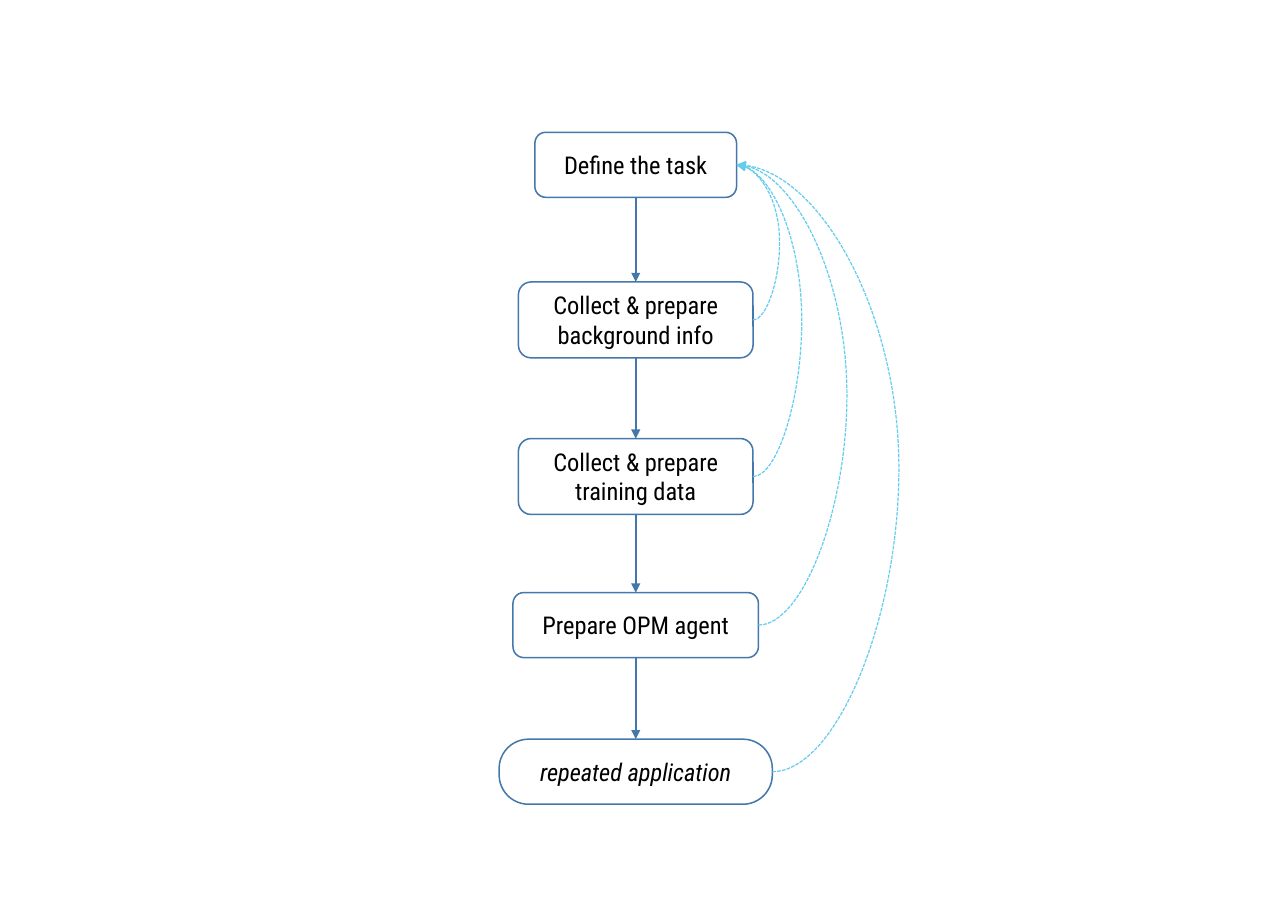
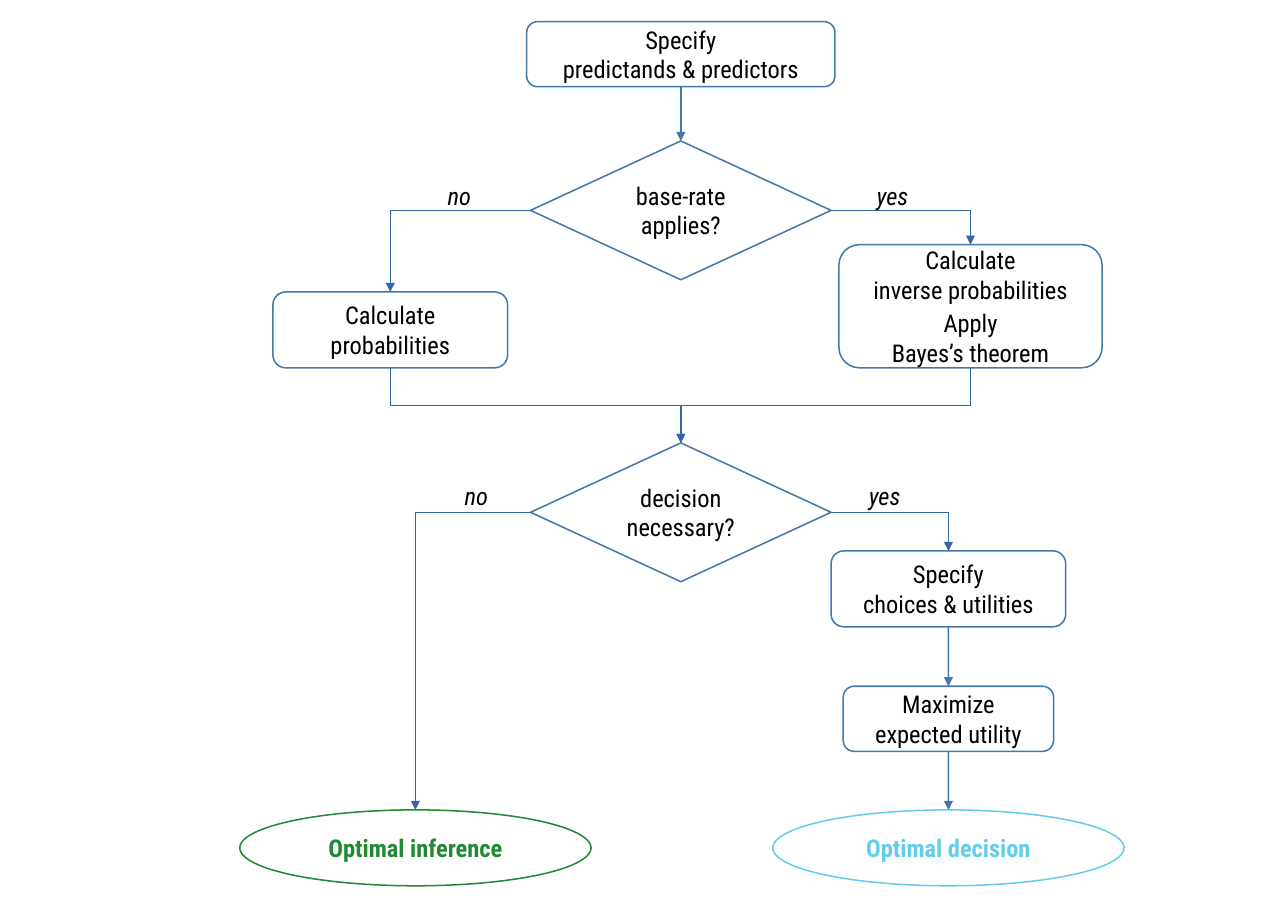
import pptx
import pptx.util
import pptx.dml.color
import pptx.enum.dml
import pptx.enum.shapes
import pptx.enum.text
import pptx.oxml
import pptx.oxml.ns
import lxml.etree

Cm = pptx.util.Cm
Pt = pptx.util.Pt
SHAPE = pptx.enum.shapes.MSO_SHAPE
LINK = pptx.enum.shapes.MSO_CONNECTOR
ALIGN = pptx.enum.text.PP_ALIGN
qn = pptx.oxml.ns.qn
rgb = pptx.dml.color.RGBColor.from_string

COLORS = {
    "text": "000000",
    "outline": "4477AA",
    "branch": "3465A4",
    "feedback": "66CCEE",
    "inference": "228833",
}
FONT = "Roboto Condensed"
TOP, LEFT, BOTTOM, RIGHT = range(4)
SITE_X = (0.5, 0, 0.5, 1)
SITE_Y = (0, 0.5, 1, 0.5)
LOW, TALL = 1.5, 1.75


def add_text(page, text, center, top, width, height, shape=None, corner=None,
             outline="outline", color="text", bold=False, italic=False, spacing=None):
    place = (Cm(center - width / 2), Cm(top), Cm(width), Cm(height))
    if shape is None:
        box = page.shapes.add_textbox(*place)
        box.text_frame.auto_size = pptx.enum.text.MSO_AUTO_SIZE.SHAPE_TO_FIT_TEXT
    else:
        box = page.shapes.add_shape(shape, *place)
        box.shadow.inherit = False
        box.fill.background()
        box.line.color.rgb = rgb(COLORS[outline])
        box.line.width = Pt(1)
    if corner is not None:
        box.adjustments[0] = corner
    frame = box.text_frame
    frame.word_wrap = shape is not None
    if shape is not None:
        frame.vertical_anchor = pptx.enum.text.MSO_ANCHOR.MIDDLE
        frame.margin_left = frame.margin_right = Cm(0.28)
        frame.margin_top = frame.margin_bottom = Cm(0.15)
    for index, words in enumerate(text.split("\n")):
        para = frame.paragraphs[0] if index == 0 else frame.add_paragraph()
        para.alignment = ALIGN.LEFT if shape is None else ALIGN.CENTER
        para.line_spacing = (spacing or {}).get(index)
        span = para.add_run()
        span.text = words
        span.font.name = FONT
        span.font.size = Pt(16)
        span.font.bold = bold
        span.font.italic = italic
        span.font.color.rgb = rgb(COLORS[color])
    return box


def connect(page, start, start_site, end, end_site, kind=LINK.STRAIGHT,
            color="outline", width=1, preset=None, bulge=None, dash=None):
    begin_x, begin_y, end_x, end_y = [
        int(value)
        for box, site in ((start, start_site), (end, end_site))
        for value in (box.left + box.width * SITE_X[site], box.top + box.height * SITE_Y[site])
    ]
    arrow = page.shapes.add_connector(kind, begin_x, begin_y, end_x, end_y)
    arrow.begin_connect(start, start_site)
    arrow.end_connect(end, end_site)
    arrow.line.color.rgb = rgb(COLORS[color])
    arrow.line.width = Pt(width)
    if dash:
        arrow.line.dash_style = dash
    properties = arrow._element.spPr
    lxml.etree.SubElement(properties.find(qn("a:ln")), qn("a:tailEnd")).set("type", "triangle")
    lxml.etree.SubElement(properties, qn("a:effectLst"))
    geometry = properties.find(qn("a:prstGeom"))
    if preset:
        geometry.set("prst", preset)
    if bulge:
        ratio = (Cm(bulge) - begin_x) / (end_x - begin_x)
        guide = lxml.etree.SubElement(geometry.find(qn("a:avLst")), qn("a:gd"))
        guide.set("name", "adj1")
        guide.set("fmla", f"val {round(ratio * 100000)}")
    if kind == LINK.ELBOW and start_site == BOTTOM:
        across, down = abs(end_x - begin_x), end_y - begin_y
        arrow.left = (begin_x + end_x - down) // 2
        arrow.top = (begin_y + end_y - across) // 2
        arrow.width, arrow.height = down, across
        rightward = end_x > begin_x
        transform = properties.find(qn("a:xfrm"))
        transform.set("rot", str((270 if rightward else 90) * 60000))
        transform.set("flipH", "1" if rightward else "0")


deck = pptx.Presentation()
deck.slide_width = Cm(29.7)
deck.slide_height = Cm(21)
blank = deck.slide_layouts[6]

page = deck.slides.add_slide(blank)
steps = []
for text, top, width, height, corner in (
    ("Define the task", 3.05, 4.65, LOW, 0.167),
    ("Collect & prepare\nbackground info", 6.5, 5.41, TALL, 0.167),
    ("Collect & prepare\ntraining data", 10.11, 5.41, TALL, 0.167),
    ("Prepare OPM agent", 13.66, 5.66, LOW, 0.167),
    ("repeated application", 17.04, 6.3, LOW, 0.452),
):
    steps.append(add_text(page, text, 14.66, top, width, height, SHAPE.ROUNDED_RECTANGLE,
                          corner, italic=text.startswith("repeated")))
for upper, lower in zip(steps, steps[1:]):
    connect(page, upper, BOTTOM, lower, TOP)
for step, bulge in zip(steps[1:], (17.98, 18.49, 19.53, 20.73)):
    connect(page, step, RIGHT, steps[0], RIGHT, LINK.CURVE, "feedback", 0.8,
            bulge=bulge, dash=pptx.enum.dml.MSO_LINE.SQUARE_DOT)

page = deck.slides.add_slide(blank)
MIDDLE, DECISION = 15.7, 21.87
nodes = {}
for name, text, center, top, width, height, spacing in (
    ("specify", "Specify\npredictands & predictors", MIDDLE, 0.5, 7.11, LOW, None),
    ("plain", "Calculate\nprobabilities", 9, 6.73, 5.41, TALL, None),
    ("inverse", "Calculate\ninverse probabilities\nApply\nBayes’s theorem",
     22.38, 5.64, 6.07, 2.84, {2: 1.15}),
    ("choices", "Specify\nchoices & utilities", DECISION, 12.7, 5.41, TALL, None),
    ("maximize", "Maximize\nexpected utility", DECISION, 15.82, 4.85, LOW, None),
):
    nodes[name] = add_text(page, text, center, top, width, height,
                           SHAPE.ROUNDED_RECTANGLE, 0.167, spacing=spacing)
for name, text, top in (
    ("base rate", "base-rate\napplies?", 3.25),
    ("necessary", "decision\nnecessary?", 10.21),
):
    nodes[name] = add_text(page, text, MIDDLE, top, 6.93, 3.2, SHAPE.DIAMOND)
for name, center, color in (("inference", 9.58, "inference"), ("decision", DECISION, "feedback")):
    nodes[name] = add_text(page, f"Optimal {name}", center, 18.67, 8.1, TALL, SHAPE.OVAL,
                           outline=color, color=color, bold=True)

for upper, lower in (("specify", "base rate"), ("choices", "maximize"), ("maximize", "decision")):
    connect(page, nodes[upper], BOTTOM, nodes[lower], TOP)
for question, side, answer in (
    ("base rate", LEFT, "plain"),
    ("base rate", RIGHT, "inverse"),
    ("necessary", LEFT, "inference"),
    ("necessary", RIGHT, "choices"),
):
    connect(page, nodes[question], side, nodes[answer], TOP, LINK.ELBOW, "branch",
            preset="bentConnector2")
for result in ("plain", "inverse"):
    connect(page, nodes[result], BOTTOM, nodes["necessary"], TOP, LINK.ELBOW, "branch")

for text, center, top, width in (
    ("no", 10.65, 4.06, 1.15),
    ("yes", 20.65, 4.06, 1.37),
    ("no", 11.04, 10.97, 1.15),
    ("yes", 20.47, 10.97, 1.37),
):
    add_text(page, text, center, top, width, 0.92, italic=True)

deck.save("out.pptx")
